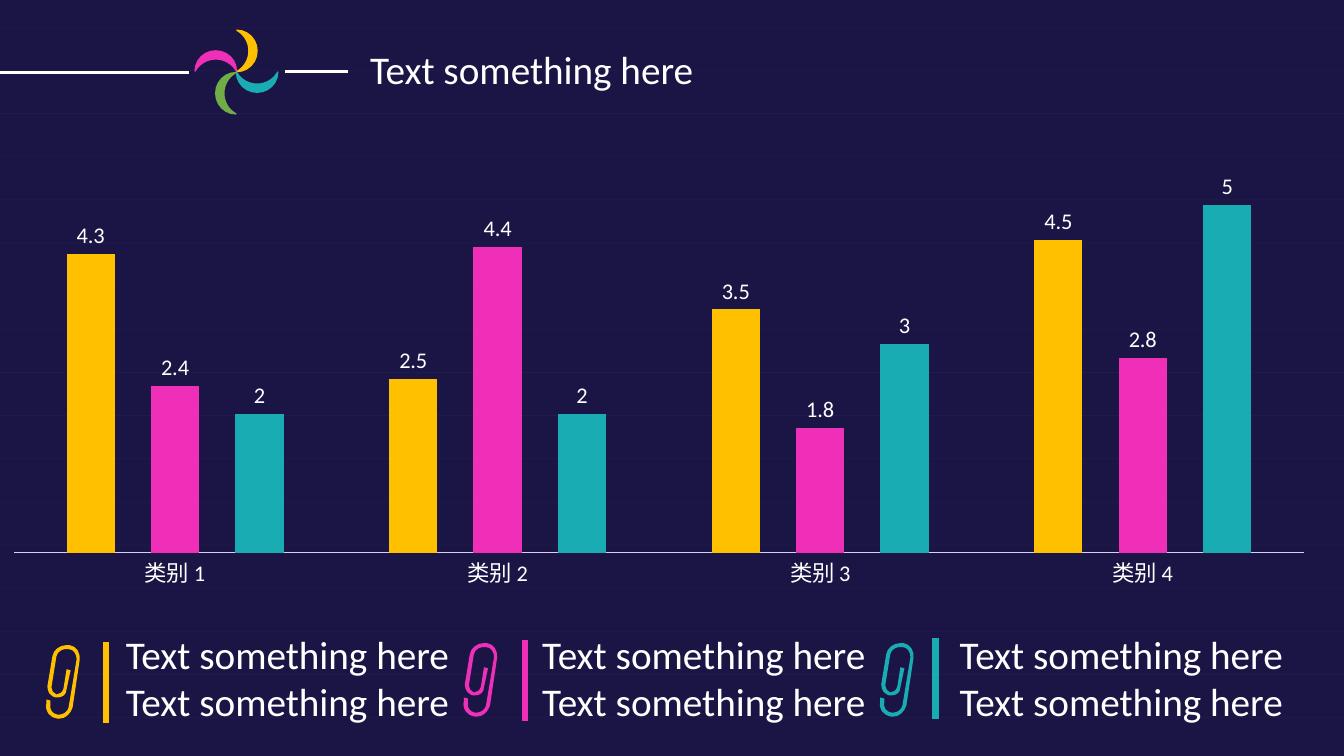
from lxml import etree
from pptx import Presentation
from pptx.chart.data import CategoryChartData
from pptx.dml.color import RGBColor
from pptx.enum.chart import XL_CHART_TYPE, XL_LABEL_POSITION, XL_TICK_MARK
from pptx.enum.shapes import MSO_CONNECTOR, MSO_SHAPE
from pptx.enum.text import MSO_ANCHOR, MSO_AUTO_SIZE, PP_ALIGN
from pptx.oxml.ns import qn
from pptx.util import Inches, Pt

COLUMNS = XL_CHART_TYPE.COLUMN_CLUSTERED
OUTSIDE_END = XL_LABEL_POSITION.OUTSIDE_END
NO_TICK = XL_TICK_MARK.NONE
STRAIGHT = MSO_CONNECTOR.STRAIGHT
MOON = MSO_SHAPE.MOON
TOP, MIDDLE = MSO_ANCHOR.TOP, MSO_ANCHOR.MIDDLE
GROW = MSO_AUTO_SIZE.SHAPE_TO_FIT_TEXT
LEFT = PP_ALIGN.LEFT

FONT = "Calibri"
NAVY, INDIGO, WHITE, GREY, LAVENDER = "1B1546", "241C5E", "FFFFFF", "808080", "D6D2F2"
YELLOW, PINK, TEAL, GREEN = "FFC000", "EF2FB8", "19ACB3", "70AD47"
PHRASE = "Text something here"

CATEGORIES = ["类别 1", "类别 2", "类别 3", "类别 4"]
SERIES = [
    ("Series 1", YELLOW, (4.3, 2.5, 3.5, 4.5)),
    ("Series 2", PINK, (2.4, 4.4, 1.8, 2.8)),
    ("Series 3", TEAL, (2, 2, 3, 5)),
]

# Left, top, rotation, mirrored attribute, colour
PETALS = [
    (2.45, 0.61, 270, None, TEAL),
    (2.14, 0.72, 0, None, GREEN),
    (2.35, 0.30, 0, "flipH", YELLOW),
    (2.04, 0.40, 90, "flipV", PINK),
]

# Colour, clip left and top, text left, bar left and top
NOTES = [
    (YELLOW, 0.45, 6.40, 1.15, 1.05, 6.37),
    (PINK, 4.59, 6.38, 5.28, 5.21, 6.35),
    (TEAL, 8.72, 6.38, 9.42, 9.28, 6.33),
]

# Paperclip outline in hundredths of an inch: one point is a line, three are a curve
CLIP = [
    [(1, 54)], [(1, 58)], [(0, 61), (1, 65), (3, 68)], [(5, 71), (8, 72), (12, 73)],
    [(14, 73)], [(20, 73), (25, 68), (27, 62)], [(34, 15)],
    [(35, 8), (31, 1), (24, 0)], [(21, 0)], [(14, 0), (8, 5), (7, 11)],
    [(2, 41)], [(2, 44), (3, 46), (4, 48)], [(6, 50), (8, 52), (10, 52)],
    [(12, 52)], [(17, 52), (21, 49), (21, 44)], [(25, 25)], [(21, 24)],
    [(18, 43)], [(17, 47), (14, 49), (11, 49)], [(8, 48), (6, 45), (6, 42)],
    [(11, 11)], [(12, 6), (18, 3), (23, 4)], [(28, 4), (31, 9), (31, 14)],
    [(23, 62)], [(22, 66), (18, 69), (14, 69)], [(12, 69)],
    [(7, 68), (4, 64), (5, 59)], [(5, 55)],
]


def rgb(value):
    return RGBColor.from_string(value)


def style_font(font, size, color=WHITE):
    font.name, font.size = FONT, Pt(size)
    font.color.rgb = rgb(color)


def add_rule(page, y):
    rule = page.shapes.add_connector(STRAIGHT, 0, Inches(y), Inches(13.48), Inches(y))
    rule.line.color.rgb = rgb(GREY)
    rule.line.width = Pt(0.5)
    properties = rule._element.spPr
    etree.SubElement(properties, qn("a:effectLst"))
    etree.SubElement(properties.find(".//" + qn("a:srgbClr")), qn("a:alpha"), val="5000")
    return rule


def add_outline(page, left, top, width, height, segments, closed=False):
    """Draw lines and curves, given in hundredths of an inch, inside a frame."""
    builder = page.shapes.build_freeform(Inches(left), Inches(top))
    builder.add_line_segments([(Inches(left + width), Inches(top + height))], close=False)
    outline = builder.convert_to_shape()
    outline.shadow.inherit = False
    route = outline._element.spPr.find(".//" + qn("a:path"))
    for child in list(route):
        route.remove(child)
    for index, points in enumerate(segments):
        kind = "cubicBezTo" if len(points) == 3 else "lnTo" if index else "moveTo"
        command = etree.SubElement(route, qn(f"a:{kind}"))
        for x, y in points:
            etree.SubElement(command, qn("a:pt"), x=str(Inches(x / 100)), y=str(Inches(y / 100)))
    if closed:
        etree.SubElement(route, qn("a:close"))
    return outline


def add_stroke(page, left, top, width, height, start, end, color, weight):
    stroke = add_outline(page, left, top, width, height, [[start], [end]])
    stroke.fill.background()
    stroke.line.color.rgb = rgb(color)
    stroke.line.width = Pt(weight)
    return stroke


def add_clip(page, left, top, color):
    clip = add_outline(page, left, top, 0.35, 0.73, CLIP, closed=True)
    clip.fill.solid()
    clip.fill.fore_color.rgb = rgb(color)
    clip.line.fill.background()


def add_petal(page, left, top, rotation, mirror, color):
    petal = page.shapes.add_shape(MOON, Inches(left), Inches(top), Inches(0.2), Inches(0.41))
    petal.shadow.inherit = False
    petal.adjustments[0] = 0.4
    petal.rotation = rotation
    if mirror:
        petal._element.spPr.find(qn("a:xfrm")).set(mirror, "1")
    petal.fill.solid()
    petal.fill.fore_color.rgb = rgb(color)
    petal.line.color.rgb = rgb(color)
    petal.line.width = Pt(1)
    return petal


def write_lines(box, lines, anchor):
    frame = box.text_frame
    frame.word_wrap = False
    frame.auto_size = GROW
    frame.vertical_anchor = anchor
    for index, line in enumerate(lines):
        para = frame.add_paragraph() if index else frame.paragraphs[0]
        para.alignment = LEFT
        span = para.add_run()
        span.text = line
        style_font(span.font, 28)


def place(box, left, top, width, height):
    box.left, box.top = Inches(left), Inches(top)
    box.width, box.height = Inches(width), Inches(height)


def add_note(page, color, clip_left, clip_top, text_left, bar_left, bar_top):
    add_clip(page, clip_left, clip_top, color)
    box = page.shapes.add_textbox(0, 0, 0, 0)
    place(box, text_left, 6.2, 3.44, 1.51)
    write_lines(box, [PHRASE, PHRASE], TOP)
    add_stroke(page, bar_left, bar_top, 0, 0.8, (0, 0), (0, 80), color, 4.5)


def add_column_chart(page):
    data = CategoryChartData()
    data.categories = CATEGORIES
    for name, _, values in SERIES:
        data.add_series(name, values)
    chart = page.shapes.add_chart(
        COLUMNS, Inches(-0.13), Inches(1.25), Inches(13.33), Inches(4.68), data).chart
    chart.has_title = chart.has_legend = False
    style_font(chart.font, 10, INDIGO)

    # Axes
    value_axis, category_axis = chart.value_axis, chart.category_axis
    value_axis.visible = value_axis.has_major_gridlines = False
    value_axis.minimum_scale, value_axis.maximum_scale = 0, 6
    category_axis.major_tick_mark = category_axis.minor_tick_mark = NO_TICK
    style_font(category_axis.tick_labels.font, 16)
    category_axis.format.line.color.rgb = rgb(LAVENDER)
    category_axis.format.line.width = Pt(0.75)

    # Columns and value labels
    plot = chart.plots[0]
    plot.vary_by_categories = False
    plot.gap_width, plot.overlap = 219, -75
    for series, (_, color, _) in zip(plot.series, SERIES):
        series.format.fill.solid()
        series.format.fill.fore_color.rgb = rgb(color)
        labels = series.data_labels
        labels.show_value = True
        labels.position = OUTSIDE_END
        style_font(labels.font, 16)


def move_to_layout(layout, shapes):
    for number, shape in enumerate(shapes, start=100):
        shape._element.nvXxPr.cNvPr.set("id", str(number)) if hasattr(
            shape._element, "nvXxPr") else None
        layout.shapes._spTree.append(shape._element)


def main():
    deck = Presentation()
    deck.slide_width, deck.slide_height = Inches(13.33), Inches(7.5)
    layout = deck.slide_layouts[5]
    page = deck.slides.add_slide(layout)

    # Ruled background and pinwheel header, kept on the layout
    layout.background.fill.solid()
    layout.background.fill.fore_color.rgb = rgb(NAVY)
    decor = [add_rule(page, 0.27 + row * 6.85 / 16) for row in range(17)]
    decor.append(add_stroke(page, 0, 0.5, 1.87, 0.22, (0, 22), (187, 22), WHITE, 2.25))
    decor += [add_petal(page, *petal) for petal in PETALS]
    decor.append(add_stroke(page, 2.83, 0.48, 0.62, 0.23, (0, 23), (62, 23), WHITE, 2.25))
    move_to_layout(layout, decor)

    # Title, chart and notes
    place(page.shapes.title, 3.57, 0.4, 3.44, 0.57)
    write_lines(page.shapes.title, [PHRASE], MIDDLE)
    add_column_chart(page)
    for note in NOTES:
        add_note(page, *note)
    deck.save("out.pptx")


if __name__ == "__main__":
    main()
